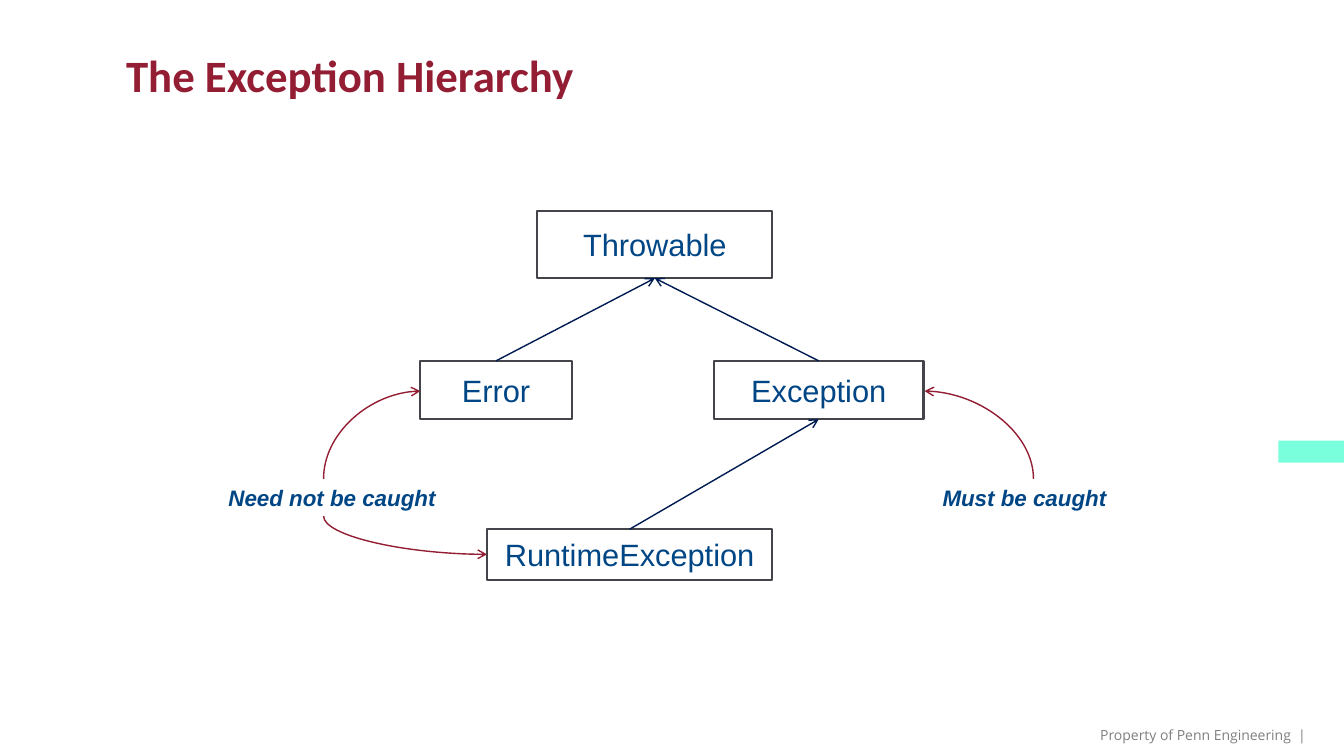
from lxml import etree
from pptx import Presentation
from pptx.dml import color
from pptx.enum import shapes, text
from pptx.oxml import ns
from pptx.util import Inches, Pt

MAROON, BLUE, NAVY, GRAY = "931D33", "004685", "001B51", "43454B"
TOP, LEFT, BOTTOM, RIGHT = range(4)


def rgb(value):
    return color.RGBColor.from_string(value)


def write(sp, words, size, font, hue, align, bold=False, italic=False):
    tf = sp.text_frame
    tf.text = words
    tf.vertical_anchor = text.MSO_ANCHOR.MIDDLE
    p = tf.paragraphs[0]
    p.alignment = align
    f = p.runs[0].font
    f.size, f.name, f.bold, f.italic = Pt(size), font, bold, italic
    f.color.rgb = rgb(hue)
    return tf


def add_label(s, box, words, size, font, hue, align=text.PP_ALIGN.LEFT, **style):
    sp = s.shapes.add_textbox(*map(Inches, box))
    tf = write(sp, words, size, font, hue, align, **style)
    tf.word_wrap = True
    return tf


def add_class(s, box, name):
    sp = s.shapes.add_shape(shapes.MSO_SHAPE.FLOWCHART_PROCESS, *map(Inches, box))
    sp.shadow.inherit = False
    sp.fill.background()
    sp.line.color.rgb = rgb(GRAY)
    sp.line.width = Pt(1.5)
    write(sp, name, 22, "Arial", BLUE, text.PP_ALIGN.CENTER).word_wrap = False
    return sp


def add_line(s, kind, points, hue, arrow_end):
    c = s.shapes.add_connector(kind, *map(Inches, points))
    c.line.color.rgb = rgb(hue)
    c.line.width = Pt(1)
    etree.SubElement(c.line._get_or_add_ln(), ns.qn(f"a:{arrow_end}"), type="arrow")
    etree.SubElement(c._element.spPr, ns.qn("a:effectLst"))
    return c


def add_inheritance(s, child, parent):
    c = add_line(s, shapes.MSO_CONNECTOR.STRAIGHT, (0, 0, 1, 1), NAVY, "tailEnd")
    c.begin_connect(child, TOP)
    c.end_connect(parent, BOTTOM)


def add_curve(s, class_x, class_y, note_x, note_y):
    # Leaves the class sideways and meets the note vertically
    points = (class_x, class_y, note_x, note_y)
    c = add_line(s, shapes.MSO_CONNECTOR.CURVE, points, MAROON, "headEnd")
    c._element.spPr.find(ns.qn("a:prstGeom")).set("prst", "curvedConnector2")


def main():
    prs = Presentation()
    prs.slide_width, prs.slide_height = Inches(13.33), Inches(7.5)
    s = prs.slides.add_slide(prs.slide_layouts[6])

    # Footer and accent bar
    add_label(s, (9.89, 7.16, 3.16, 0.27), "Property of Penn Engineering  |", 10,
              "Open Sans", "808080", text.PP_ALIGN.RIGHT)
    bar = s.shapes.add_shape(shapes.MSO_SHAPE.RECTANGLE, Inches(12.68), Inches(4.37),
                             Inches(0.65), Inches(0.22))
    bar.shadow.inherit = False
    bar.fill.solid()
    bar.fill.fore_color.rgb = rgb("7AFFDC")
    bar.line.fill.background()

    # Title
    tf = add_label(s, (1.25, 0.37, 11.22, 0.8), "The Exception Hierarchy", 32,
                   "Calibri", MAROON, bold=True)
    tf.margin_left = tf.margin_right = tf.margin_top = tf.margin_bottom = 0
    tf.paragraphs[0].line_spacing = 0.9

    # Class boxes
    throwable = add_class(s, (5.33, 2.09, 2.33, 0.67), "Throwable")
    error = add_class(s, (4.17, 3.58, 1.5, 0.58), "Error")
    exception = add_class(s, (7.08, 3.58, 2.08, 0.58), "Exception")
    runtime = add_class(s, (4.83, 5.25, 2.83, 0.5), "RuntimeException")

    # Inheritance arrows
    for child, parent in ((error, throwable), (exception, throwable), (runtime, exception)):
        add_inheritance(s, child, parent)

    # Notes and their curved arrows
    add_label(s, (9.25, 4.75, 2, 0.37), "Must be caught", 16, "Arial", BLUE,
              bold=True, italic=True)
    add_label(s, (2, 4.75, 2.42, 0.37), "Need not be caught", 16, "Arial", BLUE,
              text.PP_ALIGN.RIGHT, bold=True, italic=True)
    add_curve(s, 4.17, 3.88, 3.21, 4.75)
    add_curve(s, 9.17, 3.88, 10.25, 4.75)
    add_curve(s, 4.83, 5.5, 3.21, 5.12)

    prs.save("out.pptx")


if __name__ == "__main__":
    main()
